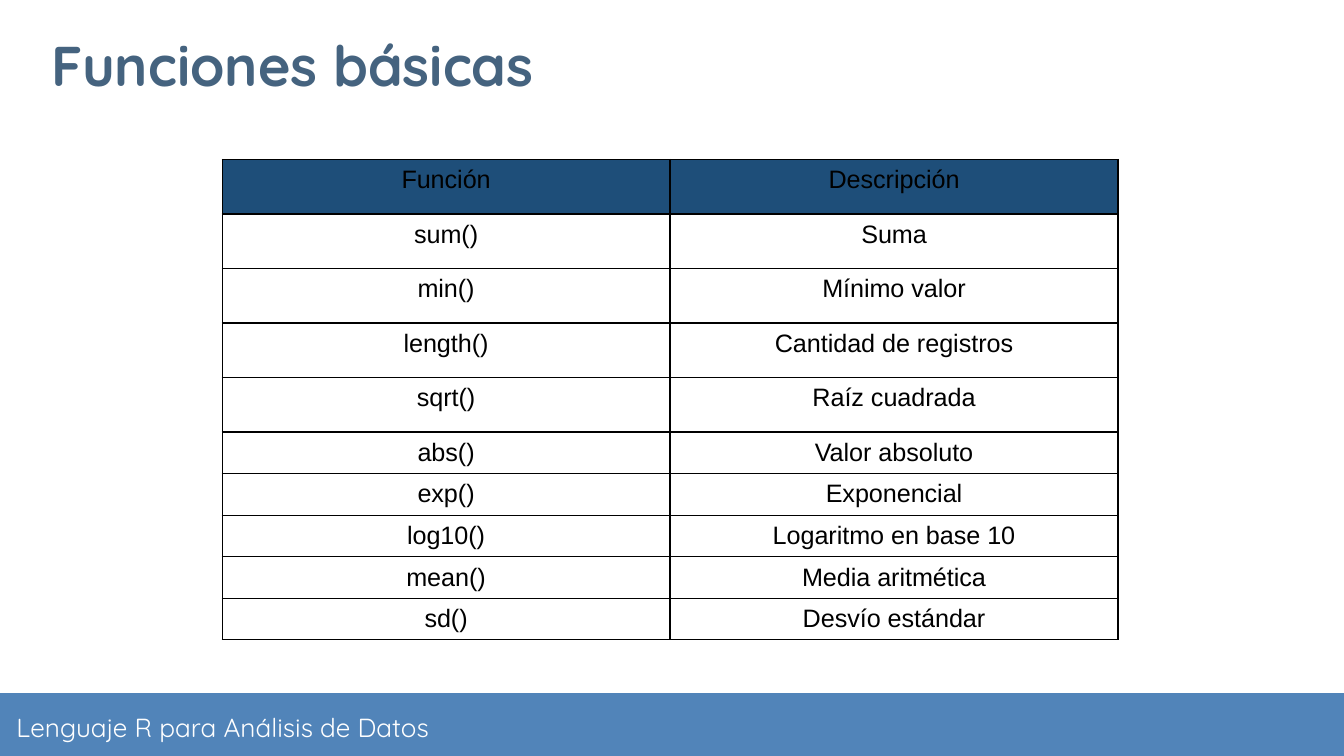
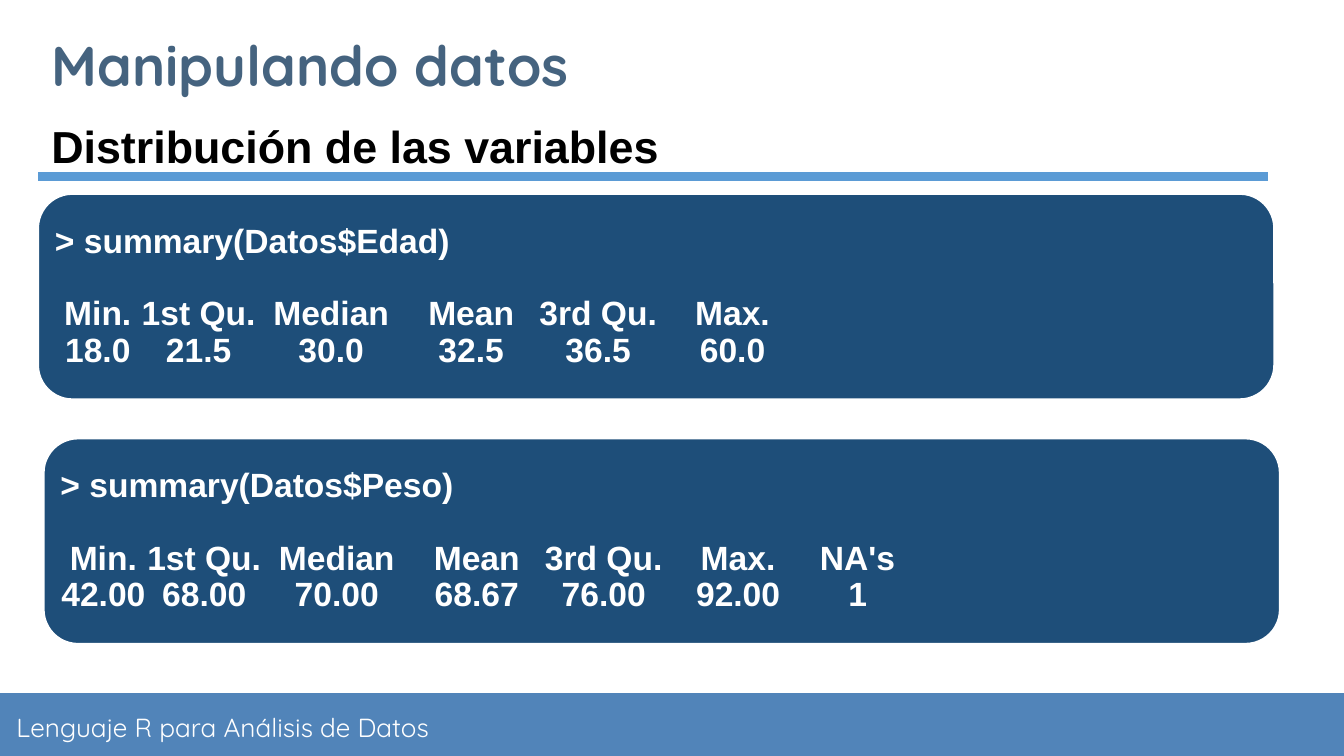
"""Build two course slides: basic R functions and the distribution of variables."""

import dataclasses
import typing

import lxml.etree
import pptx
import pptx.dml.color
import pptx.enum.shapes
import pptx.enum.text
import pptx.oxml.ns
import pptx.presentation
import pptx.shapes.autoshape
import pptx.slide
import pptx.text.text
import pptx.util

Pt = pptx.util.Pt
RGBColor = pptx.dml.color.RGBColor
Shape = pptx.shapes.autoshape.Shape
Slide = pptx.slide.Slide
PresetShape = pptx.enum.shapes.MSO_SHAPE
Align = pptx.enum.text.PP_ALIGN
Anchor = pptx.enum.text.MSO_ANCHOR
qn = pptx.oxml.ns.qn

WHITE = RGBColor(0xFF, 0xFF, 0xFF)
BLACK = RGBColor(0x00, 0x00, 0x00)
BAND_BLUE = RGBColor(0x51, 0x84, 0xB9)
TITLE_BLUE = RGBColor(0x45, 0x63, 0x7F)
DARK_BLUE = RGBColor(0x1E, 0x4E, 0x79)
RULE_BLUE = RGBColor(0x5B, 0x9B, 0xD5)

COURSE = "Lenguaje R para Análisis de Datos"
FUNCTIONS = [
    ("Función", "Descripción"),
    ("sum()", "Suma"),
    ("min()", "Mínimo valor"),
    ("length()", "Cantidad de registros"),
    ("sqrt()", "Raíz cuadrada"),
    ("abs()", "Valor absoluto"),
    ("exp()", "Exponencial"),
    ("log10()", "Logaritmo en base 10"),
    ("mean()", "Media aritmética"),
    ("sd()", "Desvío estándar"),
]
TALL_ROWS = 5
STATISTICS = ["Min.", "1st Qu.", "Median", "Mean", "3rd Qu.", "Max.", "NA's"]
STATISTIC_STOPS = [23, 77, 148, 223, 291, 363, 427]


@dataclasses.dataclass(frozen=True)
class Frame:
    """Position and size in points."""

    left: float
    top: float
    width: float
    height: float

    def lengths(self) -> list[pptx.util.Length]:
        """Return the four values as lengths."""
        return [Pt(value) for value in dataclasses.astuple(self)]

    def inset(self, across: float, down: float) -> "Frame":
        """Return the frame shrunk on every side."""
        return Frame(self.left + across, self.top + down,
                     self.width - 2 * across, self.height - 2 * down)


@dataclasses.dataclass(frozen=True)
class TextStyle:
    """Font of a run."""

    name: str
    size: float
    color: RGBColor
    bold: bool = False


@dataclasses.dataclass(frozen=True)
class Summary:
    """A console panel with one R command and its output."""

    frame: Frame
    command: str
    values: list[str]


TITLE_STYLE = TextStyle("Quicksand", 30, TITLE_BLUE, True)
FOOTER_STYLE = TextStyle("Quicksand", 14, WHITE)
CELL_STYLE = TextStyle("Arial", 13.5, BLACK)
HEADING_STYLE = TextStyle("Arial", 24, BLACK, True)
CONSOLE_STYLE = TextStyle("Arial", 18, WHITE, True)

SUMMARIES = [
    Summary(Frame(20.4, 103.9, 662.2, 110), "> summary(Datos$Edad)",
            ["18.0", "21.5", "30.0", "32.5", "36.5", "60.0"]),
    Summary(Frame(23.4, 234.9, 662.2, 110), "> summary(Datos$Peso)",
            ["42.00", "68.00", "70.00", "68.67", "76.00", "92.00", "1"]),
]


def set_formats(target: typing.Any, formats: dict[str, typing.Any]) -> None:
    """Set each named attribute of the target."""
    for name, value in formats.items():
        setattr(target, name, value)


def write(para: typing.Any, text: str, style: TextStyle, **formats: typing.Any) -> None:
    """Add styled text to a paragraph and format the paragraph."""
    span = para.add_run()
    span.text = text
    set_formats(span.font, {"name": style.name, "size": Pt(style.size), "bold": style.bold})
    span.font.color.rgb = style.color
    set_formats(para, formats)


def prepare_text(box: Shape, across: float, down: float, anchor: Anchor) -> pptx.text.text.TextFrame:
    """Set wrapping, margins and anchor of a text frame."""
    set_formats(box.text_frame, {
        "word_wrap": True,
        "auto_size": pptx.enum.text.MSO_AUTO_SIZE.NONE,
        "vertical_anchor": anchor,
        "margin_left": Pt(across), "margin_right": Pt(across),
        "margin_top": Pt(down), "margin_bottom": Pt(down),
    })
    return box.text_frame


def add_filled(shapes: typing.Any, preset: PresetShape, frame: Frame, color: RGBColor) -> Shape:
    """Add a flat filled shape without outline."""
    shape = shapes.add_shape(preset, *frame.lengths())
    shape.shadow.inherit = False
    shape.fill.solid()
    shape.fill.fore_color.rgb = color
    shape.line.fill.background()
    return shape


def add_footer(layout: pptx.slide.SlideLayout, slide: Slide) -> None:
    """Draw the footer band and move it to the shared layout."""
    for placeholder in list(layout.placeholders)[1:]:
        layout.shapes.element.remove(placeholder.element)
    band = add_filled(slide.shapes, PresetShape.RECTANGLE, Frame(0, 371.3, 720, 33.7), BAND_BLUE)
    label = slide.shapes.add_textbox(*Frame(1.7, 372.5, 358, 33.7).lengths())
    text = prepare_text(label, 7.2, 7.2, Anchor.MIDDLE)
    write(text.paragraphs[0], COURSE, FOOTER_STYLE)
    for shape in (band, label):
        layout.shapes.element.append(shape.element)


def add_titled_slide(deck: pptx.presentation.Presentation, title: str) -> Slide:
    """Add a title-only slide and format its title."""
    slide = deck.slides.add_slide(deck.slide_layouts.get_by_name("Title Only"))
    box = slide.shapes.title
    set_formats(box, dict(zip(("left", "top", "width", "height"),
                              Frame(20.4, 16, 474.5, 36.7).lengths())))
    text = prepare_text(box, 7.2, 7.2, Anchor.MIDDLE)
    write(text.paragraphs[0], title, TITLE_STYLE, alignment=Align.LEFT)
    return slide


def add_cell_borders(properties: typing.Any) -> None:
    """Put a thin black line on the four sides of a table cell."""
    for index, side in enumerate(("lnL", "lnR", "lnT", "lnB")):
        line = lxml.etree.Element(qn(f"a:{side}"), w=str(Pt(0.75)))
        fill = lxml.etree.SubElement(line, qn("a:solidFill"))
        lxml.etree.SubElement(fill, qn("a:srgbClr"), val=str(BLACK))
        properties.insert(index, line)


def add_function_table(slide: Slide) -> None:
    """Add the table of functions and descriptions."""
    heights = [29.2 if row < TALL_ROWS else 22.2 for row in range(len(FUNCTIONS))]
    frame = Frame(119, 85.5, 480, sum(heights))
    holder = slide.shapes.add_table(len(FUNCTIONS), 2, *frame.lengths())
    table = holder.table
    set_formats(table, {"first_row": False, "horz_banding": False})
    for row, (texts, height) in enumerate(zip(FUNCTIONS, heights)):
        table.rows[row].height = Pt(height)
        for column, text in enumerate(texts):
            cell = table.cell(row, column)
            cell.fill.solid()
            cell.fill.fore_color.rgb = WHITE if row else DARK_BLUE
            write(cell.text_frame.paragraphs[0], text, CELL_STYLE, alignment=Align.CENTER)
    for properties in holder.element.iter(qn("a:tcPr")):
        add_cell_borders(properties)


def add_heading(slide: Slide, heading: str) -> None:
    """Add the section heading and the rule below it."""
    box = slide.shapes.add_textbox(*Frame(20.4, 60, 673, 36).lengths())
    text = prepare_text(box, 7.2, 3.6, Anchor.TOP)
    write(text.paragraphs[0], heading, HEADING_STYLE)
    rule = slide.shapes.add_connector(pptx.enum.shapes.MSO_CONNECTOR.STRAIGHT,
                                      Pt(20.4), Pt(94.5), Pt(679.2), Pt(94.5))
    rule.line.color.rgb = RULE_BLUE
    rule.line.width = Pt(4.5)
    lxml.etree.SubElement(rule.element.spPr, qn("a:effectLst"))


def add_summary(slide: Slide, summary: Summary) -> None:
    """Add a console panel whose columns are centred on tab stops."""
    group = slide.shapes.add_group_shape()
    panel = add_filled(group.shapes, PresetShape.ROUNDED_RECTANGLE, summary.frame, DARK_BLUE)
    panel.adjustments[0] = 0.167
    panel.line.color.rgb = WHITE
    panel.line.width = Pt(1)
    box = group.shapes.add_textbox(*summary.frame.inset(3.2, 5.3).lengths())
    text = prepare_text(box, 5.8, 5.8, Anchor.MIDDLE)
    write(text.paragraphs[0], summary.command, CONSOLE_STYLE, line_spacing=0.9)
    names = STATISTICS[:len(summary.values)]
    for row, gap in ((names, 19.5), (summary.values, 0)):
        columns = "".join(f"\t{entry}" for entry in row)
        write(text.add_paragraph(), columns, CONSOLE_STYLE,
              line_spacing=0.9, space_before=Pt(gap))
    for properties in box.element.iter(qn("a:pPr")):
        stops = lxml.etree.SubElement(properties, qn("a:tabLst"))
        for stop in STATISTIC_STOPS:
            lxml.etree.SubElement(stops, qn("a:tab"), pos=str(Pt(stop)), algn="ctr")


def main() -> None:
    """Build and save the deck."""
    deck = pptx.Presentation()
    set_formats(deck, {"slide_width": Pt(720), "slide_height": Pt(405)})

    functions = add_titled_slide(deck, "Funciones básicas")
    add_footer(functions.slide_layout, functions)
    add_function_table(functions)

    distribution = add_titled_slide(deck, "Manipulando datos")
    add_heading(distribution, "Distribución de las variables")
    for summary in SUMMARIES:
        add_summary(distribution, summary)

    deck.save("out.pptx")


if __name__ == "__main__":
    main()
